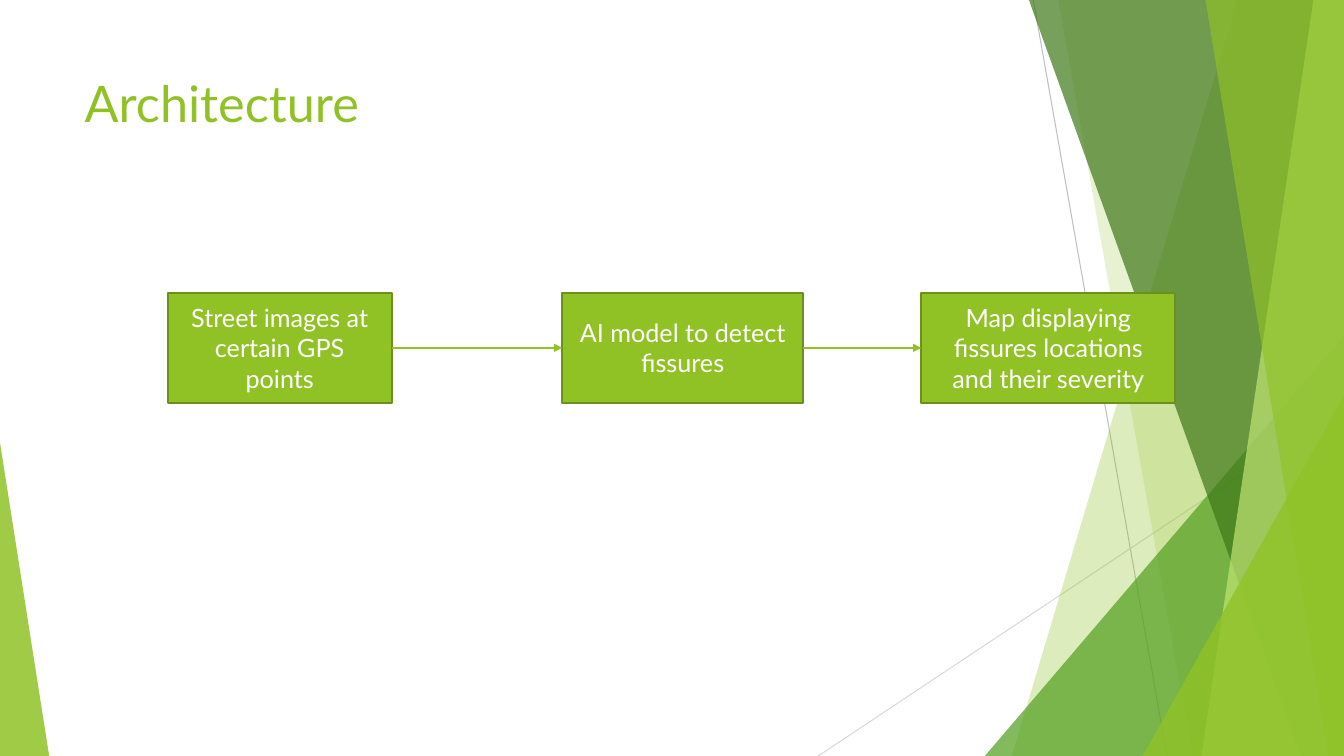
from dataclasses import dataclass
from itertools import pairwise

from lxml.etree import SubElement
from pptx import Presentation
from pptx.dml.color import RGBColor
from pptx.enum.shapes import MSO_CONNECTOR, MSO_SHAPE
from pptx.enum.text import MSO_ANCHOR, PP_ALIGN
from pptx.oxml.ns import qn
from pptx.shapes.autoshape import Shape
from pptx.shapes.connector import Connector
from pptx.slide import Slide
from pptx.util import Cm, Pt

WIDTH, HEIGHT = 33.87, 19.05
FONT = "Lato"
WHITE = RGBColor(0xFF, 0xFF, 0xFF)
GREEN = RGBColor(0x90, 0xC2, 0x26)
OLIVE = RGBColor(0x6B, 0x90, 0x1C)
LEAF = RGBColor(0x54, 0xA0, 0x21)
FOREST = RGBColor(0x3F, 0x78, 0x19)
LIME = RGBColor(0xC0, 0xE4, 0x74)
GRAY = RGBColor(0xBF, 0xBF, 0xBF)
LIGHT_GRAY = RGBColor(0xD9, 0xD9, 0xD9)


@dataclass
class Ray:
    x1: float
    y1: float
    x2: float
    y2: float
    color: RGBColor


@dataclass
class Band:
    top_x: float
    bottom_x: float
    color: RGBColor
    opacity: int


@dataclass
class Wedge:
    left: float
    top: float
    width: float
    apex: float
    color: RGBColor
    opacity: int


@dataclass
class Step:
    left: float
    width: float
    text: str


RAYS = [
    Ray(26.04, 0, 29.41, HEIGHT, GRAY),
    Ray(WIDTH, 10.24, 20.62, HEIGHT, LIGHT_GRAY),
]
FACETS = [
    Band(31.19, 25.5, GREEN, 30),
    Band(26.67, 30.05, GREEN, 20),
    Wedge(24.82, 8.46, 9.05, 1, LEAF, 72),
    Band(25.93, 32.79, FOREST, 70),
    Band(33.1, 30.28, LIME, 70),
    Band(30.38, 33.48, GREEN, 65),
    Wedge(28.8, 9.98, 5.07, 1, GREEN, 80),
    Wedge(0, 11.15, 1.24, 0, GREEN, 85),
]
STEPS = [
    Step(4.23, 5.64, "Street images at certain GPS points"),
    Step(14.17, 6.07, "AI model to detect fissures"),
    Step(23.22, 6.4, "Map displaying fissures locations and their severity"),
]
STEP_TOP, STEP_HEIGHT = 7.38, 2.77


def add_line(s: Slide, ray: Ray, weight: float) -> Connector:
    line = s.shapes.add_connector(
        MSO_CONNECTOR.STRAIGHT, Cm(ray.x1), Cm(ray.y1), Cm(ray.x2), Cm(ray.y2)
    )
    line.line.color.rgb = ray.color
    line.line.width = Pt(weight)
    SubElement(line._element.spPr, qn("a:effectLst"))
    return line


def add_facet(s: Slide, facet: Band | Wedge) -> None:
    if isinstance(facet, Band):
        outline = s.shapes.build_freeform(Cm(facet.top_x), 0)
        outline.add_line_segments([
            (Cm(WIDTH), 0),
            (Cm(WIDTH), Cm(HEIGHT)),
            (Cm(facet.bottom_x), Cm(HEIGHT)),
        ])
        sp = outline.convert_to_shape()
    else:
        sp = s.shapes.add_shape(
            MSO_SHAPE.ISOSCELES_TRIANGLE,
            Cm(facet.left), Cm(facet.top), Cm(facet.width), Cm(HEIGHT - facet.top),
        )
        sp.adjustments[0] = facet.apex
    sp.shadow.inherit = False
    sp.line.fill.background()
    sp.fill.solid()
    sp.fill.fore_color.rgb = facet.color
    color = sp._element.spPr.find(qn("a:solidFill"))[0]
    SubElement(color, qn("a:alpha"), val=str(facet.opacity * 1000))


def write(sp: Shape, text: str, size: int, color: RGBColor,
          align: PP_ALIGN, anchor: MSO_ANCHOR) -> None:
    tf = sp.text_frame
    tf.word_wrap = True
    tf.vertical_anchor = anchor
    p = tf.paragraphs[0]
    p.text = text
    p.alignment = align
    p.font.name = FONT
    p.font.size = Pt(size)
    p.font.color.rgb = color


def add_step(s: Slide, step: Step) -> Shape:
    sp = s.shapes.add_shape(
        MSO_SHAPE.RECTANGLE,
        Cm(step.left), Cm(STEP_TOP), Cm(step.width), Cm(STEP_HEIGHT),
    )
    sp.shadow.inherit = False
    sp.fill.solid()
    sp.fill.fore_color.rgb = GREEN
    sp.line.color.rgb = OLIVE
    sp.line.width = Pt(1.5)
    write(sp, step.text, 18, WHITE, PP_ALIGN.CENTER, MSO_ANCHOR.MIDDLE)
    return sp


def add_arrow(s: Slide, source: Shape, target: Shape) -> None:
    arrow = add_line(s, Ray(0, 0, 1, 0, GREEN), 1)
    arrow.begin_connect(source, 3)
    arrow.end_connect(target, 1)
    SubElement(arrow.line._get_or_add_ln(), qn("a:tailEnd"), type="triangle")


def main() -> None:
    prs = Presentation()
    prs.slide_width, prs.slide_height = Cm(WIDTH), Cm(HEIGHT)
    s = prs.slides.add_slide(prs.slide_layouts[5])

    for ray in RAYS:
        add_line(s, ray, 0.75)
    for facet in FACETS:
        add_facet(s, facet)

    title = s.shapes.title
    title.left, title.top, title.width, title.height = Cm(1.88), Cm(1.7), Cm(23.88), Cm(3.66)
    write(title, "Architecture", 36, GREEN, PP_ALIGN.LEFT, MSO_ANCHOR.TOP)
    title.element.getparent().append(title.element)

    boxes = [add_step(s, step) for step in STEPS]
    for source, target in pairwise(boxes):
        add_arrow(s, source, target)

    prs.save("out.pptx")


if __name__ == "__main__":
    main()
